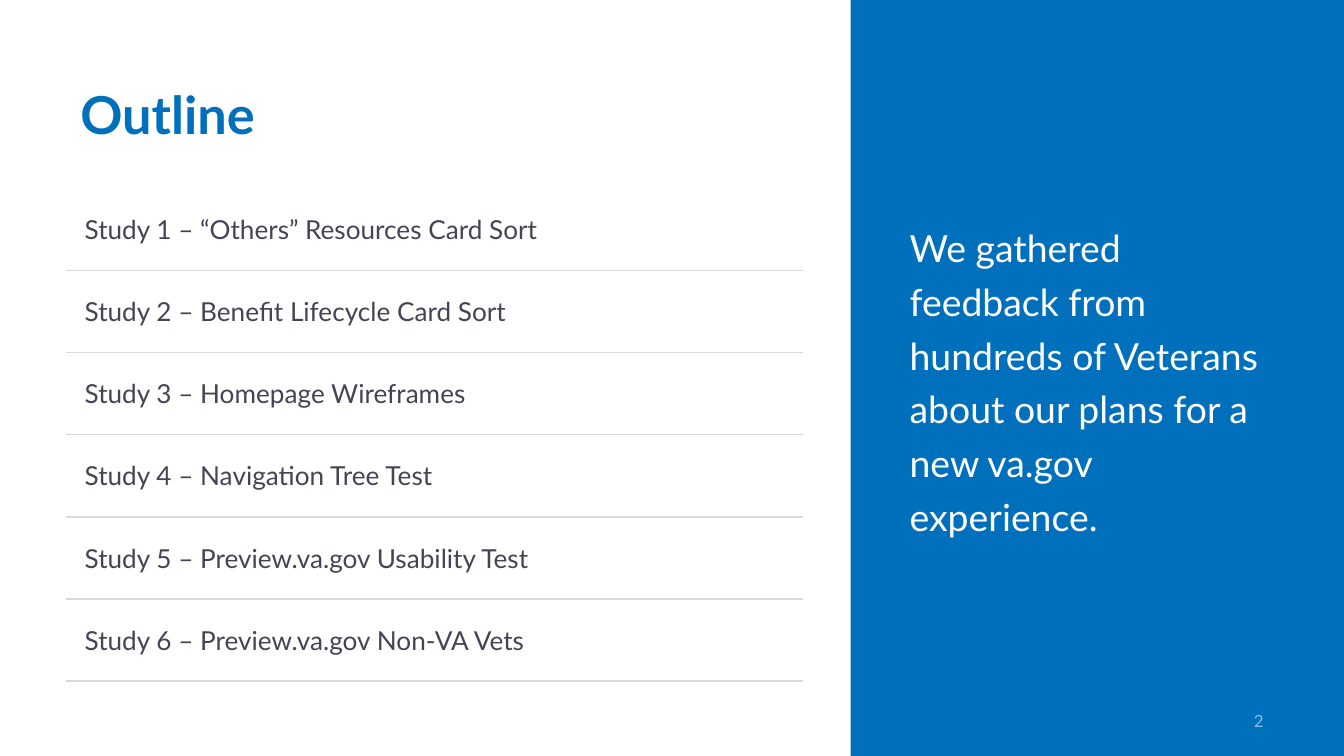
import pptx
import pptx.dml.color
import pptx.enum.shapes
import pptx.enum.text
import pptx.oxml
import pptx.oxml.ns
import pptx.util

Inches = pptx.util.Inches
COLORS = {
    "blue": "0070BC",
    "white": "FFFFFF",
    "text": "454454",
    "rule": "D9D9D9",
    "number": "89BDE8",
}
STUDIES = [
    "“Others” Resources Card Sort",
    "Benefit Lifecycle Card Sort",
    "Homepage Wireframes",
    "Navigation Tree Test",
    "Preview.va.gov Usability Test",
    "Preview.va.gov Non-VA Vets",
]


def rgb(name):
    return pptx.dml.color.RGBColor.from_string(COLORS[name])


def write(tf, text, size, color, bold=False):
    tf.word_wrap = True
    p = tf.paragraphs[0]
    p.text = text
    r = p.runs[0]
    r.font.name = "Lato"
    r.font.size = pptx.util.Pt(size)
    r.font.bold = bold
    r.font.color.rgb = rgb(color)
    return p


prs = pptx.Presentation()
prs.slide_width = Inches(10)
prs.slide_height = Inches(10) * 9 // 16
s = prs.slides.add_slide(prs.slide_layouts[6])
middle = pptx.enum.text.MSO_ANCHOR.MIDDLE

panel = s.shapes.add_shape(
    pptx.enum.shapes.MSO_SHAPE.RECTANGLE, Inches(6.33), 0, Inches(3.67), prs.slide_height
)
panel.shadow.inherit = False
panel.fill.solid()
panel.fill.fore_color.rgb = rgb("blue")
panel.line.fill.background()

title = s.shapes.add_textbox(Inches(0.5), Inches(0.56), Inches(5.46), Inches(0.71))
write(title.text_frame, "Outline", 28, "blue", True)

table = s.shapes.add_table(
    len(STUDIES), 2, Inches(0.5), Inches(1.4), Inches(5.46), Inches(3.67)
).table
table.first_row = False
table.horz_banding = False
table.columns[0].width = Inches(4.39)
table.columns[1].width = Inches(1.08)

for i, study in enumerate(STUDIES):
    for cell in table.rows[i].cells:
        tcPr = cell._tc.get_or_add_tcPr()
        top = "white" if i == 0 else "rule"
        for side, color in (("L", "white"), ("R", "white"), ("T", top), ("B", "rule")):
            tcPr.append(pptx.oxml.parse_xml(
                f'<a:ln{side} {pptx.oxml.ns.nsdecls("a")} w="12700"><a:solidFill>'
                f'<a:srgbClr val="{COLORS[color]}"/></a:solidFill></a:ln{side}>'
            ))
        cell.fill.background()
        cell.vertical_anchor = middle
        cell.margin_left = cell.margin_right = Inches(0.13)
    write(table.cell(i, 0).text_frame, f"Study {i + 1} – {study}", 14, "text")

summary = s.shapes.add_textbox(Inches(6.67), Inches(0.56), Inches(2.83), Inches(4.5))
summary.text_frame.vertical_anchor = middle
p = write(
    summary.text_frame,
    "We gathered feedback from hundreds of Veterans about our plans for a new va.gov experience.",
    20,
    "white",
)
p.line_spacing = 1.2
p.space_after = pptx.util.Pt(6)

number = s.shapes.add_textbox(Inches(8.75), Inches(5.21), Inches(0.75), Inches(0.3))
number.text_frame.vertical_anchor = middle
p = write(number.text_frame, "2", 9, "number")
p.alignment = pptx.enum.text.PP_ALIGN.RIGHT

prs.save("out.pptx")
